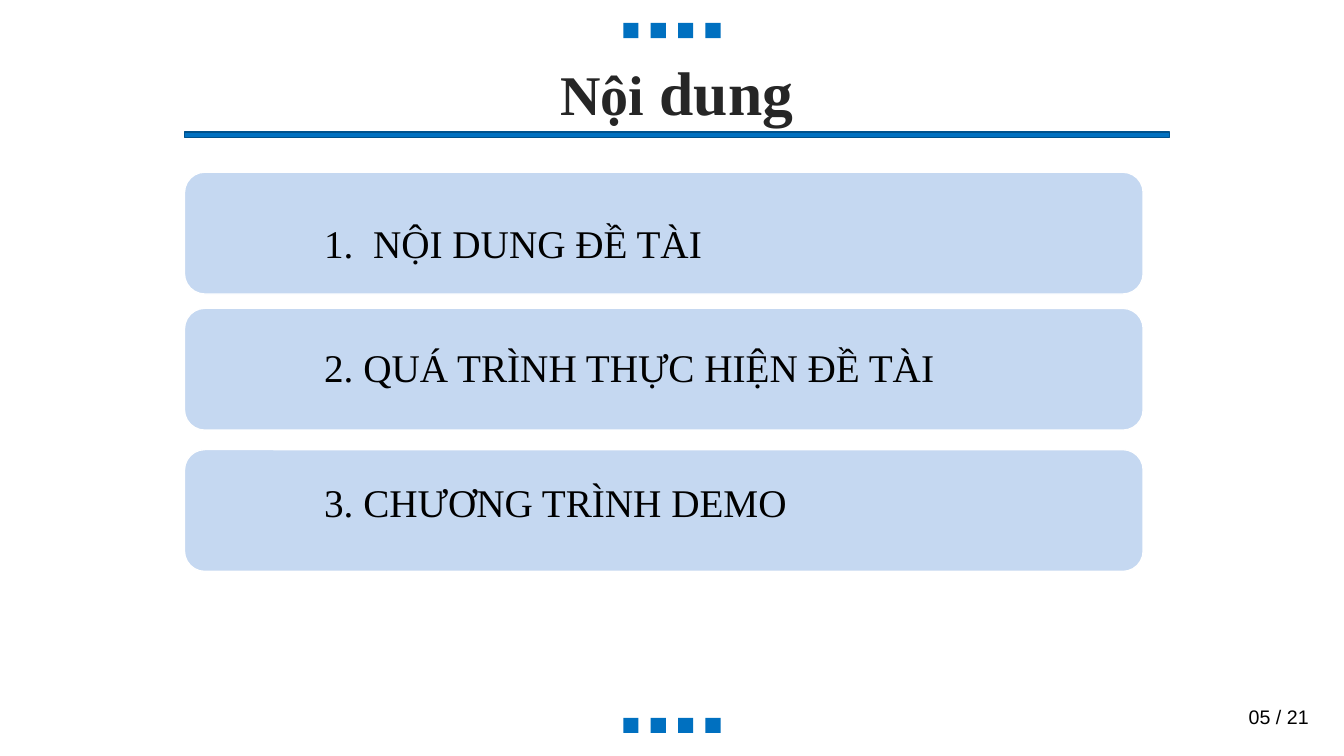
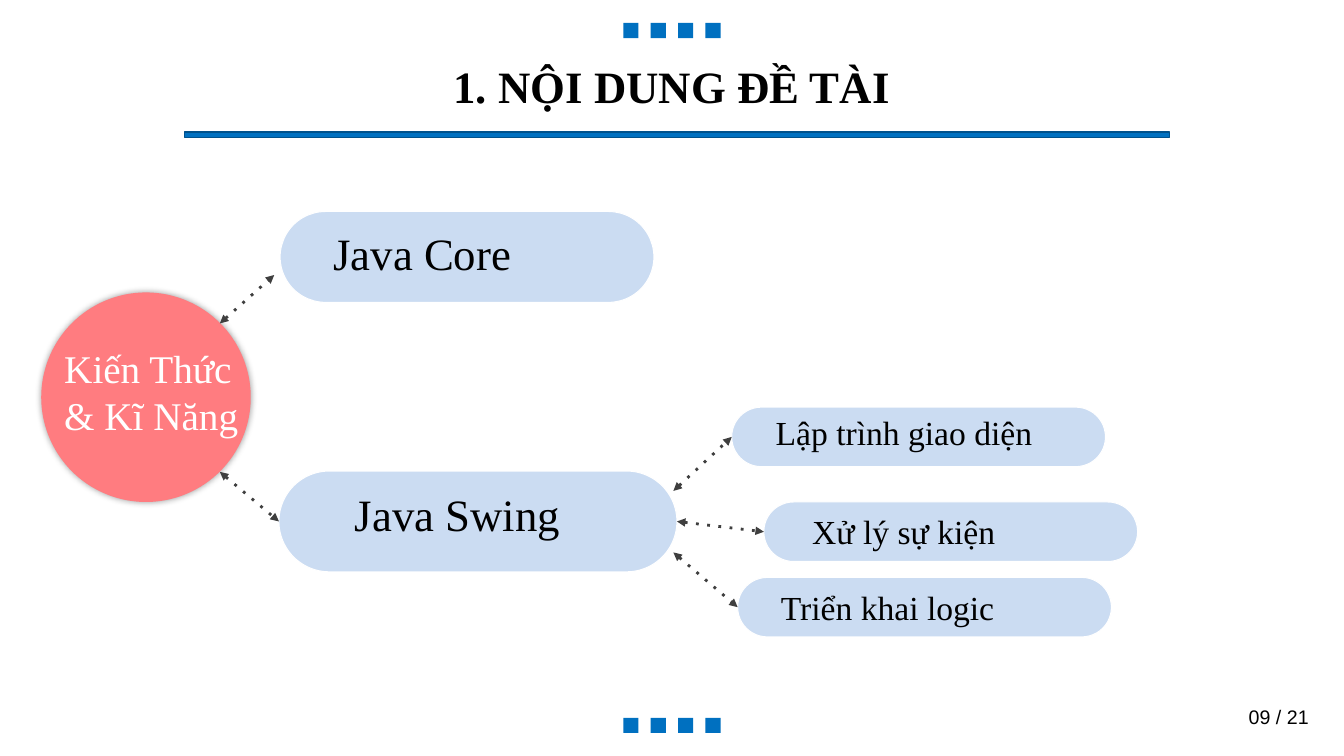
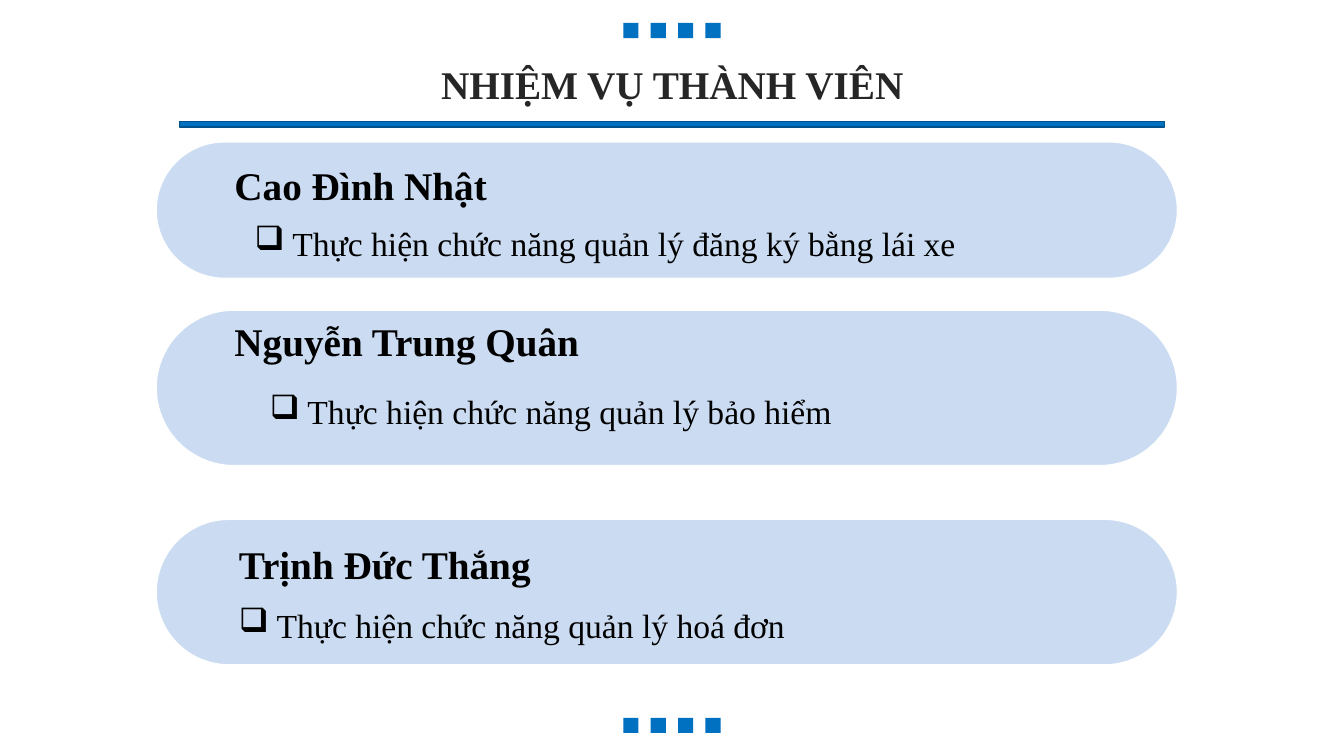
from dataclasses import dataclass
from typing import NamedTuple

from lxml.etree import SubElement
from pptx import Presentation
from pptx.dml.color import RGBColor
from pptx.enum.shapes import MSO_CONNECTOR, MSO_SHAPE
from pptx.enum.text import MSO_ANCHOR, PP_ALIGN
from pptx.oxml.ns import qn
from pptx.util import Cm, Pt

SLIDE_WIDTH, SLIDE_HEIGHT = 33.87, 19.05
BLUE, RULE_EDGE = "0070C0", "00518C"
BAR_BLUE, PILL_BLUE = "C5D8F1", "558ED5"
CORAL, ARROW_GREY, TITLE_GREY = "FF7C80", "3F3F3F", "262626"
BLACK, WHITE = "000000", "FFFFFF"
SERIF, SANS = "Times New Roman", "Arial"


class Box(NamedTuple):
    left: float
    top: float
    width: float
    height: float


class Point(NamedTuple):
    x: float
    y: float


@dataclass
class Topic:
    label: str
    pill: Box
    label_box: Box
    size: float


@dataclass
class Member:
    name: str
    task: str
    pill_top: float
    pill_height: float
    name_at: Point
    task_at: Point


def rgb(color: str) -> RGBColor:
    return RGBColor.from_string(color)


def lengths(values) -> list:
    return [Cm(value) for value in values]


def add_child(parent, tag: str, **attributes):
    return SubElement(parent, qn(tag), {key: str(value) for key, value in attributes.items()})


def draw_shape(slide, kind, box: Box, fill: str, *, edge: str = "", edge_width: float = 1,
               opacity: int = 100, rounding: float | None = None):
    shape = slide.shapes.add_shape(kind, *lengths(box))
    shape.shadow.inherit = False
    shape.fill.solid()
    shape.fill.fore_color.rgb = rgb(fill)
    if opacity < 100:
        color = shape._element.spPr.find(qn("a:solidFill"))[0]
        add_child(color, "a:alpha", val=opacity * 1000)
    if edge:
        shape.line.color.rgb = rgb(edge)
        shape.line.width = Pt(edge_width)
    else:
        shape.line.fill.background()
    if rounding is not None:
        shape.adjustments[0] = rounding
    return shape


def draw_pill(slide, box: Box):
    return draw_shape(slide, MSO_SHAPE.ROUNDED_RECTANGLE, box, PILL_BLUE,
                      edge=WHITE, edge_width=0.75, opacity=30, rounding=0.5)


def write_text(slide, box: Box, text: str | list[tuple[str, float]], *, size: float = 28,
               font: str = SERIF, color: str = BLACK, bold: bool = False,
               align=PP_ALIGN.LEFT, anchor=MSO_ANCHOR.TOP,
               line_spacing: float | None = None, bullet: str = "") -> None:
    """Write one paragraph; a list of (text, size) pairs gives runs of several sizes."""
    frame = slide.shapes.add_textbox(*lengths(box)).text_frame
    frame.word_wrap = True
    frame.vertical_anchor = anchor
    paragraph = frame.paragraphs[0]
    paragraph.alignment = align
    if line_spacing:
        paragraph.line_spacing = line_spacing
    if bullet:
        properties = paragraph._p.get_or_add_pPr()
        indent = Cm(0.95)
        properties.set("marL", str(indent))
        properties.set("indent", str(-indent))
        add_child(properties, "a:buChar", char=bullet)
    for words, run_size in [(text, size)] if isinstance(text, str) else text:
        run = paragraph.add_run()
        run.text = words
        run.font.name = font
        run.font.size = Pt(run_size)
        run.font.bold = bold
        run.font.color.rgb = rgb(color)


def draw_link(slide, start: Point, end: Point, source=None, target=None) -> None:
    """Draw a dotted two-way arrow, joined to source's right and target's left side if given."""
    link = slide.shapes.add_connector(MSO_CONNECTOR.STRAIGHT, *lengths(start + end))
    if source is not None:
        link.begin_connect(source, 3)
    if target is not None:
        link.end_connect(target, 1)
    link.line.color.rgb = rgb(ARROW_GREY)
    link.line.width = Pt(2)
    line = link.line._get_or_add_ln()
    add_child(line, "a:prstDash", val="dot")
    add_child(line, "a:headEnd", type="triangle")
    add_child(line, "a:tailEnd", type="triangle")
    add_child(link._element.spPr, "a:effectLst")


def add_glow_shadow(shape) -> None:
    effects = shape._element.spPr.find(qn("a:effectLst"))
    shadow = add_child(effects, "a:outerShdw", blurRad=Pt(5), dist=0, dir=0,
                       algn="ctr", rotWithShape=0)
    color = add_child(shadow, "a:srgbClr", val=BLACK)
    add_child(color, "a:alpha", val=40000)


def start_slide(deck, rule_at: Point, page: str = ""):
    """Add a slide with the square ornaments, the title rule and the page number."""
    slide = deck.slides.add_slide(deck.slide_layouts[6])
    count, side, pitch, margin = 4, 0.38, 0.69, 0.58
    first = (SLIDE_WIDTH - (count - 1) * pitch - side) / 2
    for top in (margin, SLIDE_HEIGHT - margin - side):
        for index in range(count):
            square = Box(first + index * pitch, top, side, side)
            draw_shape(slide, MSO_SHAPE.RECTANGLE, square, BLUE)
    draw_shape(slide, MSO_SHAPE.FLOWCHART_PROCESS, Box(*rule_at, 24.82, 0.13), BLUE,
               edge=RULE_EDGE)
    if page:
        write_text(slide, Box(31.22, 17.65, 2.2, 0.86), f"{page} / 21", size=14, font=SANS)
    return slide


def write_title(slide, box: Box, text, **style) -> None:
    write_text(slide, box, text, bold=True, align=PP_ALIGN.CENTER, **style)


def build_contents(deck) -> None:
    slide = start_slide(deck, Point(4.65, 3.33), "05")
    write_title(slide, Box(11.05, 1.37, 12.01, 2.08), [("Nội", 40), (" dung", 44)],
                color=TITLE_GREY, anchor=MSO_ANCHOR.MIDDLE, line_spacing=0.9)
    entries = [
        ("1.  NỘI DUNG ĐỀ TÀI", 4.34, 4.8),
        ("2. QUÁ TRÌNH THỰC HIỆN ĐỀ TÀI", 7.77, 7.92),
        ("3. CHƯƠNG TRÌNH DEMO", 11.33, 11.33),
    ]
    for entry, bar_top, text_top in entries:
        draw_shape(slide, MSO_SHAPE.ROUNDED_RECTANGLE, Box(4.65, bar_top, 24.16, 3.07),
                   BAR_BLUE, edge=WHITE, rounding=0.167)
        write_text(slide, Box(7.92, text_top, 20.7, 2.79), entry,
                   anchor=MSO_ANCHOR.MIDDLE, line_spacing=0.9)


def build_knowledge_map(deck) -> None:
    slide = start_slide(deck, Point(4.65, 3.33), "09")
    write_title(slide, Box(8.46, 1.35, 16.94, 1.63), "1. NỘI DUNG ĐỀ TÀI", size=32)

    hub = draw_shape(slide, MSO_SHAPE.OVAL, Box(1.04, 7.37, 5.28, 5.28), CORAL)
    add_glow_shadow(hub)
    write_text(slide, Box(1.37, 8.56, 5.54, 2.64), "Kiến Thức & Kĩ Năng", color=WHITE)

    topics = [
        Topic("Java Core", Box(7.06, 5.33, 9.42, 2.29), Box(8.15, 5.56, 7.8, 1.63), 32),
        Topic("Java Swing", Box(7.03, 11.87, 10.03, 2.54), Box(8.69, 12.14, 7.8, 1.63), 32),
        Topic("Lập trình giao diện", Box(18.44, 10.26, 9.42, 1.5),
              Box(19.3, 10.26, 8.5, 1.27), 24),
        Topic("Xử lý sự kiện", Box(19.25, 12.65, 9.42, 1.5), Box(20.22, 12.75, 8.5, 1.27), 24),
        Topic("Triển khai logic", Box(18.59, 14.55, 9.42, 1.5),
              Box(19.43, 14.66, 8.5, 1.27), 24),
    ]
    pills = []
    for topic in topics:
        pills.append(draw_pill(slide, topic.pill))
        write_text(slide, topic.label_box, topic.label, size=topic.size)
    _, swing, interface, events, logic = pills

    draw_link(slide, Point(5.54, 8.15), Point(6.91, 6.93))
    draw_link(slide, Point(5.54, 11.89), Point(6.91, 13.08), target=swing)
    draw_link(slide, Point(16.97, 12.37), Point(18.31, 11.18), target=interface)
    draw_link(slide, Point(17.06, 13.14), Point(19.25, 13.4), source=swing, target=events)
    draw_link(slide, Point(16.97, 13.92), Point(18.59, 15.3), target=logic)


def build_member_tasks(deck) -> None:
    slide = start_slide(deck, Point(4.52, 3.07))
    write_title(slide, Box(0.86, 1.17, 32.16, 2.01), "NHIỆM VỤ THÀNH VIÊN",
                color=TITLE_GREY, anchor=MSO_ANCHOR.MIDDLE, line_spacing=0.9)
    members = [
        Member("Cao Đình Nhật", "Thực hiện chức năng quản lý đăng ký bằng lái xe",
               3.58, 3.43, Point(5.66, 3.94), Point(6.17, 5.49)),
        Member("Nguyễn Trung Quân", "Thực hiện chức năng quản lý bảo hiểm",
               7.82, 3.91, Point(5.66, 7.87), Point(6.55, 9.73)),
        Member("Trịnh Đức Thắng", "Thực hiện chức năng quản lý hoá đơn",
               13.09, 3.66, Point(5.77, 13.49), Point(5.77, 15.11)),
    ]
    for member in members:
        draw_pill(slide, Box(3.94, member.pill_top, 25.73, member.pill_height))
        write_text(slide, Box(*member.name_at, 10.64, 1.45), member.name, bold=True)
        write_text(slide, Box(*member.task_at, 19.56, 1.27), member.task, size=24, bullet="❑")


def main() -> None:
    deck = Presentation()
    deck.slide_width, deck.slide_height = Cm(SLIDE_WIDTH), Cm(SLIDE_HEIGHT)
    build_contents(deck)
    build_knowledge_map(deck)
    build_member_tasks(deck)
    deck.save("out.pptx")


if __name__ == "__main__":
    main()
